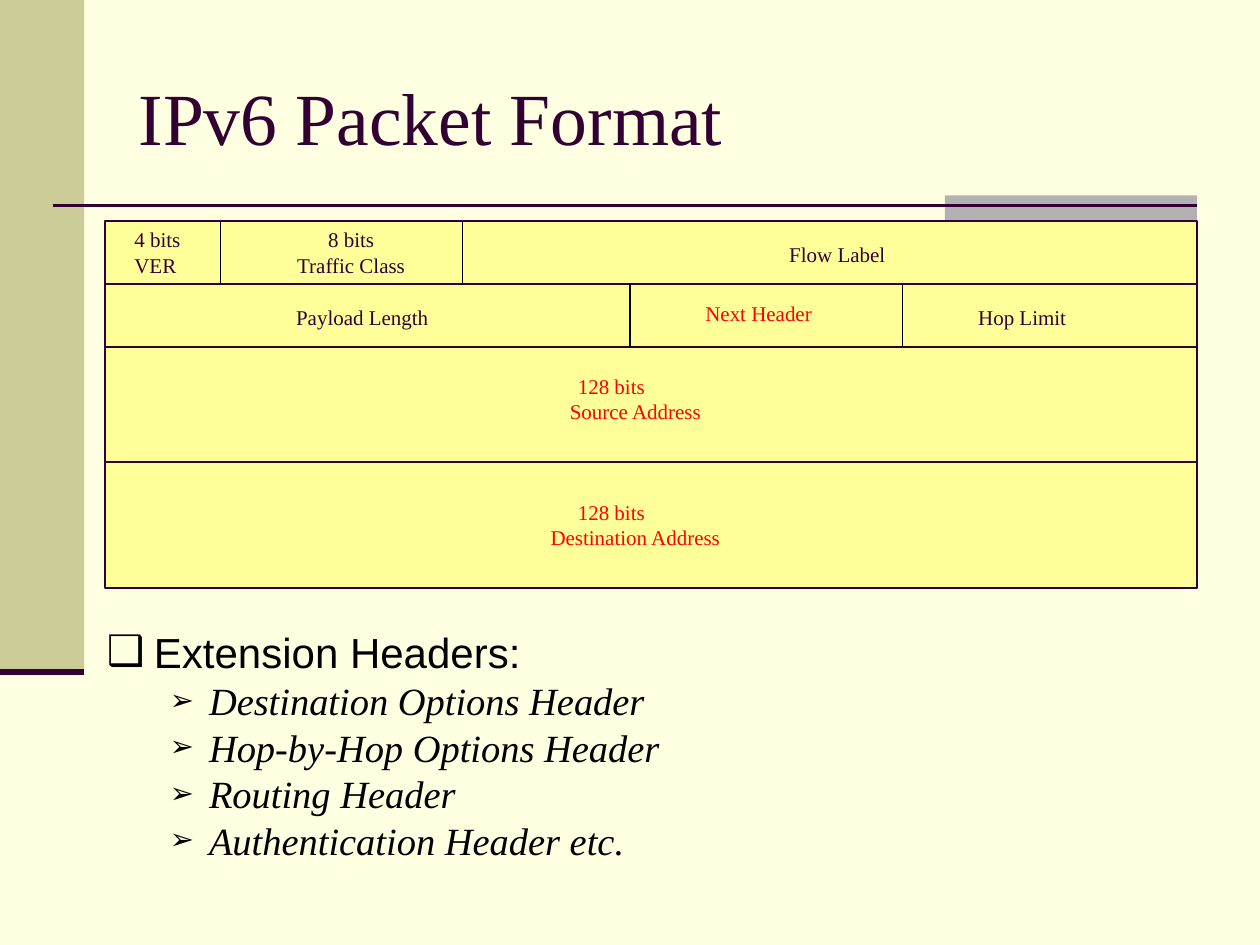
"""Build the IPv6 packet format slide."""
import lxml.etree
import pptx
import pptx.dml.color
import pptx.enum.shapes
import pptx.enum.text
import pptx.oxml.ns
import pptx.util
from pptx.util import Cm, Pt

COLORS = {
    "background": "FFFFE1", "sidebar": "CCCC99", "accent": "B2B2B2",
    "dark": "330033", "packet": "FFFF99", "red": "FF0000", "black": "000000",
}
SERIF = "Times New Roman"
TITLE = "IPv6 Packet Format"
PACKET_LEFT, PACKET_TOP, PACKET_RIGHT = 2.12, 4.45, 24.13
ROWS = [
    {"height": 1.27, "dividers": [4.45, 9.32]},
    {"height": 1.27, "dividers": [12.7, 18.2]},
    {"height": 2.33, "dividers": []},
    {"height": 2.54, "dividers": []},
]
# left, top, width, lines, color, centered, left margin of the last line
FIELDS = [
    (2.46, 4.45, 1.7, ["4 bits", "VER"], "dark", False, 0),
    (5.65, 4.45, 2.86, ["8 bits", "Traffic Class"], "dark", True, 0),
    (15.66, 4.75, 2.54, ["Flow Label"], "dark", False, 0),
    (5.72, 6.02, 3.39, ["Payload Length"], "dark", False, 0),
    (13.97, 5.93, 3.39, ["Next Header"], "red", False, 0),
    (19.47, 6.02, 3.39, ["Hop Limit"], "dark", False, 0),
    (9.73, 7.41, 5.19, ["128 bits", "Source Address"], "red", True, 0.97),
    (9.73, 9.95, 5.19, ["128 bits", "Destination Address"], "red", True, 0.97),
]
HEADING = "Extension Headers:"
HEADERS = [
    "Destination Options Header", "Hop-by-Hop Options Header",
    "Routing Header", "Authentication Header etc.",
]


def rgb(name):
    return pptx.dml.color.RGBColor.from_string(COLORS[name])


def set_font(paragraph, name, size, color, italic=False):
    font = paragraph.font
    font.name, font.size, font.italic = name, Pt(size), italic
    font.color.rgb = rgb(color)


def place(shape, left, top, width, height):
    shape.left, shape.top = Cm(left), Cm(top)
    shape.width, shape.height = Cm(width), Cm(height)


def add_rectangle(slide, left, top, width, height, fill, outline=None):
    shape = slide.shapes.add_shape(
        pptx.enum.shapes.MSO_SHAPE.RECTANGLE, Cm(left), Cm(top), Cm(width), Cm(height))
    shape.shadow.inherit = False
    shape.fill.solid()
    shape.fill.fore_color.rgb = rgb(fill)
    if outline:
        shape.line.color.rgb = rgb(outline)
        shape.line.width = Pt(1)
    else:
        shape.line.fill.background()


def add_line(slide, x1, y1, x2, y2, color, width):
    line = slide.shapes.add_connector(
        pptx.enum.shapes.MSO_CONNECTOR.STRAIGHT, Cm(x1), Cm(y1), Cm(x2), Cm(y2))
    line.line.color.rgb = rgb(color)
    line.line.width = Pt(width)
    lxml.etree.SubElement(line._element.spPr, pptx.oxml.ns.qn("a:effectLst"))


def add_field(slide, left, top, width, lines, color, centered, margin):
    box = slide.shapes.add_textbox(Cm(left), Cm(top), Cm(width), Cm(0.25 + 0.5 * len(lines)))
    frame = box.text_frame
    frame.word_wrap = True
    frame.text = "\n".join(lines)
    for paragraph in frame.paragraphs:
        if centered:
            paragraph.alignment = pptx.enum.text.PP_ALIGN.CENTER
        set_font(paragraph, SERIF, 12, color)
    if margin:
        frame.paragraphs[-1]._p.get_or_add_pPr().set("marL", str(Cm(margin)))


def add_bullet(paragraph, character, margin, hanging, size):
    properties = paragraph._p.get_or_add_pPr()
    properties.set("marL", str(Cm(margin)))
    properties.set("indent", str(-Cm(hanging)))
    color = lxml.etree.SubElement(properties, pptx.oxml.ns.qn("a:buClr"))
    lxml.etree.SubElement(color, pptx.oxml.ns.qn("a:srgbClr"), val=COLORS["black"])
    lxml.etree.SubElement(properties, pptx.oxml.ns.qn("a:buSzPct"), val=str(size * 1000))
    lxml.etree.SubElement(properties, pptx.oxml.ns.qn("a:buChar"), char=character)


def add_packet(slide):
    height = sum(row["height"] for row in ROWS)
    add_rectangle(slide, PACKET_LEFT, PACKET_TOP, PACKET_RIGHT - PACKET_LEFT, height,
                  "packet", "dark")
    top = PACKET_TOP
    for row in ROWS:
        bottom = top + row["height"]
        if row is not ROWS[-1]:
            add_line(slide, PACKET_LEFT, bottom, PACKET_RIGHT, bottom, "dark", 1)
        for x in row["dividers"]:
            add_line(slide, x, top, x, bottom, "black", 0.75)
        top = bottom
    for field in FIELDS:
        add_field(slide, *field)


def fill_title(title):
    place(title, 2.54, 0.76, 21.59, 3.18)
    frame = title.text_frame
    frame.text = TITLE
    frame.vertical_anchor = pptx.enum.text.MSO_ANCHOR.MIDDLE
    frame.paragraphs[0].alignment = pptx.enum.text.PP_ALIGN.LEFT
    set_font(frame.paragraphs[0], SERIF, 42, "dark")


def fill_body(body):
    place(body, 1.9, 12.7, 22.86, 6.35)
    frame = body.text_frame
    frame.auto_size = pptx.enum.text.MSO_AUTO_SIZE.NONE
    frame.text = "\n".join([HEADING] + HEADERS)
    heading, *items = frame.paragraphs
    add_bullet(heading, "❑", 0.95, 0.95, 100)
    heading.space_before, heading.line_spacing = Pt(0), 0.8
    set_font(heading, "Arial", 24, "black")
    for item in items:
        item.level = 1
        add_bullet(item, "➢", 2.06, 0.79, 75)
        item.space_before, item.line_spacing = Pt(5.5), 0.8
        set_font(item, SERIF, 22, "black", italic=True)


def main():
    presentation = pptx.Presentation()
    presentation.slide_width, presentation.slide_height = Cm(25.4), Cm(19.05)
    slide = presentation.slides.add_slide(presentation.slide_layouts[1])
    slide.background.fill.solid()
    slide.background.fill.fore_color.rgb = rgb("background")
    add_rectangle(slide, 0, 0, 1.7, 13.54, "sidebar")
    add_rectangle(slide, 19.05, 3.94, 5.08, 0.51, "accent")
    add_line(slide, 1.06, 4.14, 24.13, 4.14, "dark", 1.5)
    add_line(slide, 0, 13.54, 1.7, 13.54, "dark", 3.5)
    fill_title(slide.shapes.title)
    add_packet(slide)
    fill_body(slide.placeholders[1])
    presentation.save("out.pptx")


if __name__ == "__main__":
    main()
